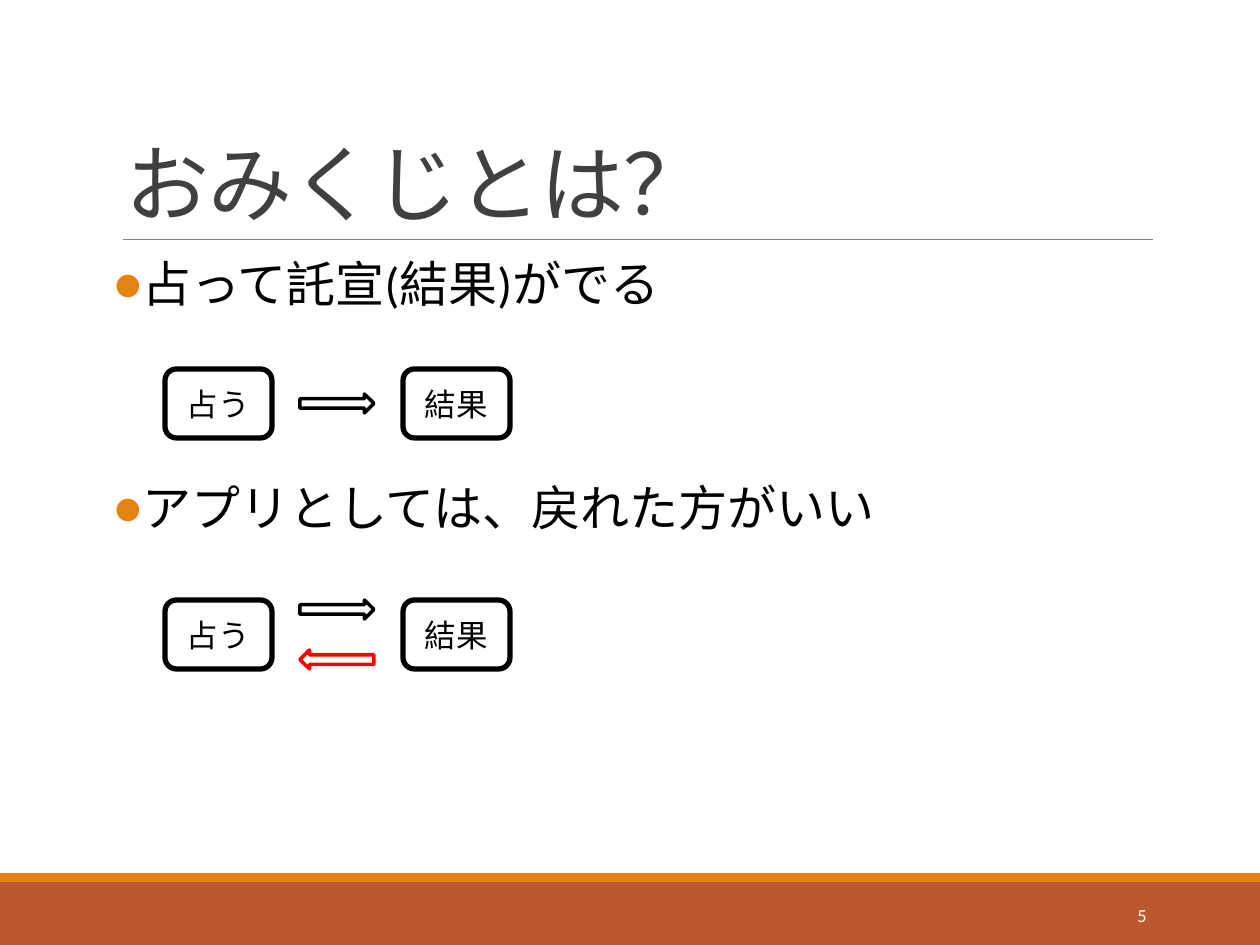
from lxml import etree
from pptx import Presentation
from pptx.dml.color import RGBColor
from pptx.enum.shapes import MSO_CONNECTOR, MSO_SHAPE
from pptx.enum.text import MSO_ANCHOR, PP_ALIGN
from pptx.oxml.ns import qn
from pptx.util import Emu, Pt

PX = 914400 // 126
RECT, ROUNDED, ARROW = MSO_SHAPE.RECTANGLE, MSO_SHAPE.ROUNDED_RECTANGLE, MSO_SHAPE.RIGHT_ARROW
STRAIGHT = MSO_CONNECTOR.STRAIGHT
TOP, MIDDLE, BOTTOM = MSO_ANCHOR.TOP, MSO_ANCHOR.MIDDLE, MSO_ANCHOR.BOTTOM
LEFT, CENTER, RIGHT = PP_ALIGN.LEFT, PP_ALIGN.CENTER, PP_ALIGN.RIGHT
COLORS = {
    "white": "FFFFFF", "black": "000000", "red": "FF0000", "title": "404040",
    "rule": "808080", "bar": "BD582C", "accent": "E48312",
}
FONT = "Calibri"


def px(*lengths):
    return [Emu(length * PX) for length in lengths]


def color(name):
    return RGBColor.from_string(COLORS[name])


def set_format(target, values):
    for name, value in values.items():
        setattr(target, name, value)


def add_block(page, kind, box, fill, line=None, width=0):
    block = page.shapes.add_shape(kind, *px(*box))
    block.shadow.inherit = False
    block.fill.solid()
    block.fill.fore_color.rgb = color(fill)
    if line:
        block.line.color.rgb = color(line)
        block.line.width = Pt(width)
    else:
        block.line.fill.background()
    return block


def write(para, text, size, ink, align=LEFT):
    para.alignment = align
    span = para.add_run()
    span.text = text
    set_format(span.font, {"name": FONT, "size": Pt(size)})
    span.font.color.rgb = color(ink)
    return span


def add_text_frame(page, box, anchor):
    frame = page.shapes.add_textbox(*px(*box)).text_frame
    set_format(frame, {"word_wrap": True, "vertical_anchor": anchor})
    return frame


def add_footer(page, box, number):
    left, top, width, height = box
    stripe = 9
    add_block(page, RECT, (left, top + stripe, width, height - stripe), "bar")
    add_block(page, RECT, (left, top, width, stripe), "accent")
    frame = add_text_frame(page, (left + 1023, top + 17, 136, 50), MIDDLE)
    write(frame.paragraphs[0], number, 10.5, "white", RIGHT)


def add_title(page, box, text):
    left, top, width, height = box
    bottom = top + height
    rule = page.shapes.add_connector(STRAIGHT, *px(left + 10, bottom, left + width, bottom))
    rule.line.color.rgb = color("rule")
    rule.line.width = Pt(0.5)
    etree.SubElement(rule.element.spPr, qn("a:effectLst"))
    para = add_text_frame(page, box, BOTTOM).paragraphs[0]
    para.line_spacing = 0.85
    span = write(para, text, 48, "title")
    span.font._element.set("spc", "-50")


def add_bullet(para):
    props = para._p.get_or_add_pPr()
    props.set("marL", "91440")
    props.set("indent", "-91440")
    bullet_color = etree.SubElement(props, qn("a:buClr"))
    etree.SubElement(bullet_color, qn("a:srgbClr"), val=COLORS["accent"])
    etree.SubElement(props, qn("a:buFont"), typeface=FONT)
    etree.SubElement(props, qn("a:buChar"), char="●")


def add_points(page, box, points, gap):
    """Write bulleted points, leaving gap points between them for the diagrams."""
    frame = add_text_frame(page, box, TOP)
    set_format(frame, {"margin_left": 0, "margin_right": 0})
    for index, text in enumerate(points):
        para = frame.add_paragraph() if index else frame.paragraphs[0]
        set_format(para, {
            "line_spacing": 0.9,
            "space_before": Pt(gap if index else 12),
            "space_after": Pt(2),
        })
        add_bullet(para)
        write(para, text, 28, "black")


def add_flow(page, box, steps, arrows):
    """Draw two steps with arrows between; each arrow is (offset, colour, rotation)."""
    left, top, width, height = box
    step_width, arrow_width, arrow_height = 107, 74, 19
    for x, text in zip((left, left + width - step_width), steps):
        step = add_block(page, ROUNDED, (x, top, step_width, height), "white", "black", 3)
        step.text_frame.vertical_anchor = MIDDLE
        write(step.text_frame.paragraphs[0], text, 18, "black", CENTER)
    arrow_left = left + (width - arrow_width) // 2
    for offset, ink, rotation in arrows:
        arrow_box = (arrow_left, top + offset, arrow_width, arrow_height)
        add_block(page, ARROW, arrow_box, "white", ink, 2).rotation = rotation


def main():
    deck = Presentation()
    deck.slide_width, deck.slide_height = px(1260, 945)
    page = deck.slides.add_slide(deck.slide_layouts[6])
    add_footer(page, (0, 873, 1260, 72), "5")
    add_title(page, (113, 39, 1040, 200), "おみくじとは？")
    points = ("占って託宣(結果)がでる", "アプリとしては、戻れた方がいい")
    add_points(page, (113, 254, 1040, 554), points, gap=96)
    flows = (
        (369, [(25, "black", 0)]),
        (600, [(0, "black", 0), (50, "red", 180)]),
    )
    for top, arrows in flows:
        add_flow(page, (165, top, 345, 69), ("占う", "結果"), arrows)
    deck.save("out.pptx")


if __name__ == "__main__":
    main()
